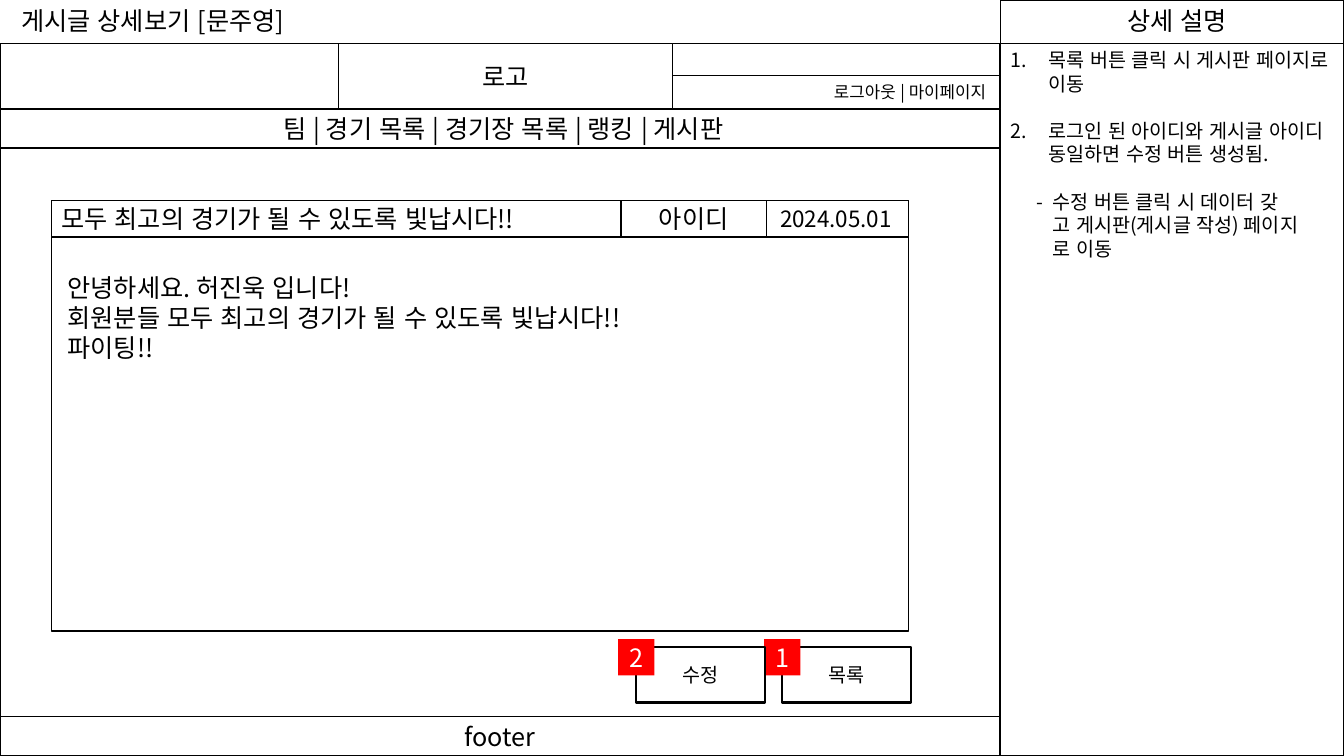
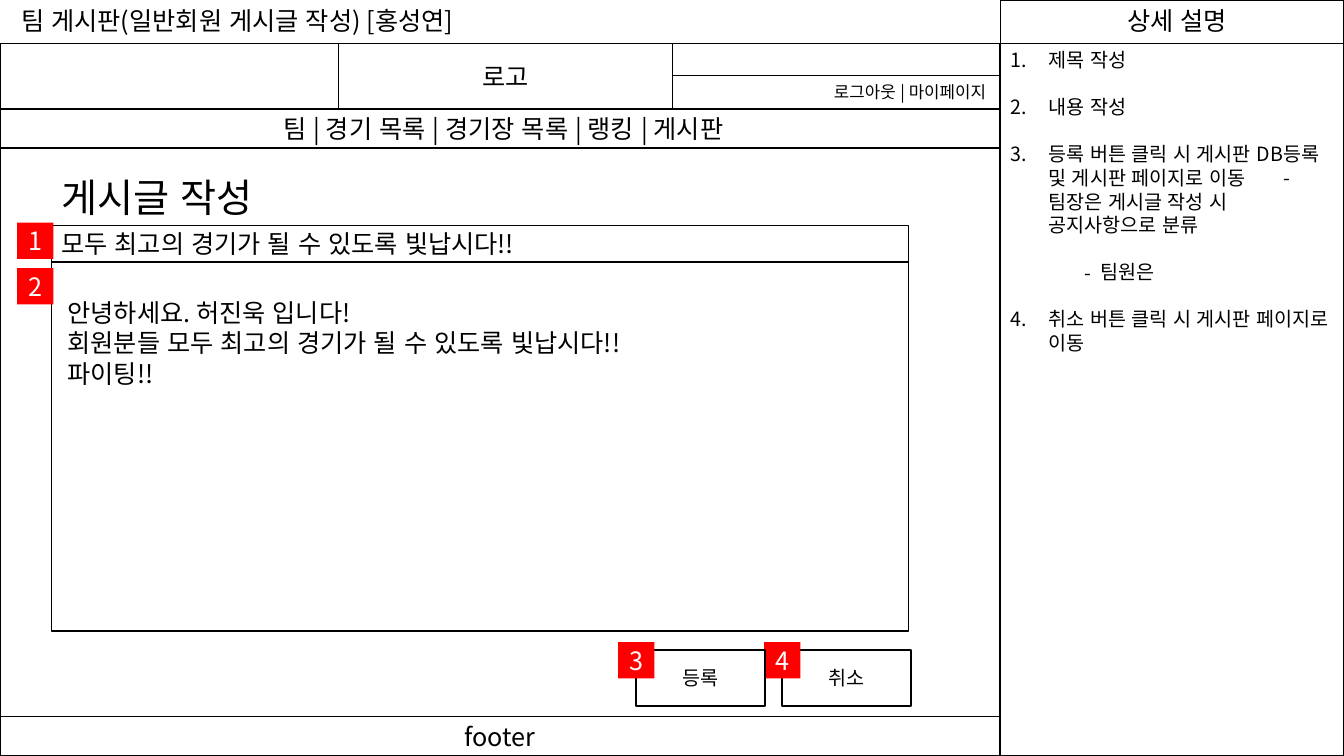
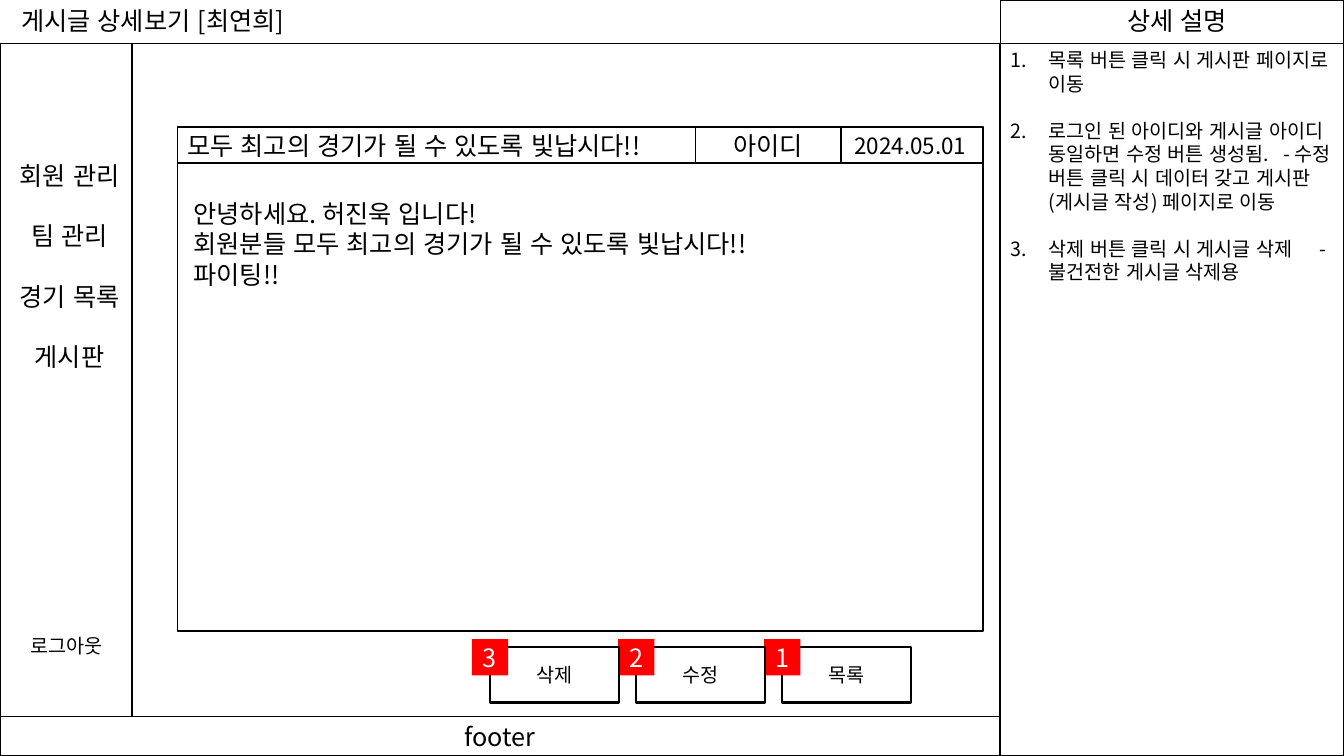
"""Build three wireframe slides for a sports bulletin board."""
from copy import deepcopy

from lxml import etree
from pptx import Presentation
from pptx import util as u
from pptx.dml.color import RGBColor
from pptx.enum import lang, shapes, text
from pptx.oxml import ns

BLACK = RGBColor(0, 0, 0)
WHITE = RGBColor(255, 255, 255)
RED = RGBColor(255, 0, 0)
FONT = "Noto Sans CJK KR"
LEFT, CENTER, RIGHT = text.PP_ALIGN.LEFT, text.PP_ALIGN.CENTER, text.PP_ALIGN.RIGHT
TOP, MIDDLE = text.MSO_ANCHOR.TOP, text.MSO_ANCHOR.MIDDLE
LINE_HEIGHT = 1.2

SLIDE_WIDTH, SLIDE_HEIGHT = 13.33, 7.5
PAGE_WIDTH = 9.92
BAND_HEIGHT = 0.43
NAV_TOP, NAV_HEIGHT = 1.08, 0.39
FOOTER_TOP = 7.11
ROW_HEIGHT = 0.36
BUTTON_RIGHTMOST, BUTTON_PITCH = 7.76, 1.45

POST_TITLE = "모두 최고의 경기가 될 수 있도록 빛납시다!!"
POST_LINES = ["안녕하세요. 허진욱 입니다!", "회원분들 모두 최고의 경기가 될 수 있도록 빛납시다!!", "파이팅!!"]
LIST_NOTE = "목록 버튼 클릭 시 게시판 페이지로 이동"
EDIT_NOTE = "로그인 된 아이디와 게시글 아이디 동일하면 수정 버튼 생성됨."


def set_attributes(target, values):
    """Set each named attribute of the target."""
    for name, value in values.items():
        setattr(target, name, value)


def format_run(run, size, color=BLACK):
    """Apply the shared font to Latin and Korean characters."""
    set_attributes(run.font, {"name": FONT, "size": u.Pt(size), "bold": False,
                              "language_id": lang.MSO_LANGUAGE_ID.KOREAN})
    run.font.color.rgb = color
    properties = run.font._element
    latin = properties.find(ns.qn("a:latin"))
    east_asian = etree.Element(ns.qn("a:ea"), typeface=FONT)
    latin.addnext(east_asian)


def format_paragraph(paragraph, size, color=BLACK):
    """Format every run and line break of a paragraph."""
    for run in paragraph.runs:
        format_run(run, size, color)
    for line_break in paragraph._p.findall(ns.qn("a:br")):
        line_break.append(deepcopy(paragraph.runs[0].font._element))


def write(shape, lines, size=18, color=BLACK, align=LEFT, anchor=MIDDLE, gap=0, **margins):
    """Write one paragraph per line, with a gap in points between them."""
    frame = shape.text_frame
    set_attributes(frame, {"word_wrap": True, "vertical_anchor": anchor,
                           "auto_size": text.MSO_AUTO_SIZE.NONE})
    set_attributes(frame, {name: u.Inches(value) for name, value in margins.items()})
    for index, line in enumerate(lines):
        paragraph = frame.add_paragraph() if index else frame.paragraphs[0]
        paragraph.text = line
        set_attributes(paragraph, {"alignment": align, "space_before": u.Pt(gap if index else 0)})
        format_paragraph(paragraph, size, color)


def add_box(slide, left, top, width, height, lines=(), fill=WHITE, line_width=1, **style):
    """Add a filled rectangle, outlined unless the line width is zero."""
    shape = slide.shapes.add_shape(shapes.MSO_SHAPE.RECTANGLE,
                                   *map(u.Inches, (left, top, width, height)))
    shape.shadow.inherit = False
    shape.fill.solid()
    shape.fill.fore_color.rgb = fill
    if line_width:
        shape.line.color.rgb = BLACK
        shape.line.width = u.Pt(line_width)
    else:
        shape.line.fill.background()
    write(shape, lines, **style)


def add_text(slide, left, top, width, height, lines=(), **style):
    """Add a text box that starts at its top edge."""
    shape = slide.shapes.add_textbox(*map(u.Inches, (left, top, width, height)))
    write(shape, lines, anchor=TOP, **style)
    return shape


def add_page(presentation, title):
    """Add a slide with its title and the description panel."""
    slide = presentation.slides.add_slide(presentation.slide_layouts[5])
    placeholder = slide.shapes.title
    set_attributes(placeholder, {"left": u.Inches(0.11), "top": 0,
                                 "width": u.Inches(9.7), "height": u.Inches(0.4)})
    write(placeholder, [title], anchor=TOP)
    panel_width = SLIDE_WIDTH - PAGE_WIDTH
    add_box(slide, PAGE_WIDTH, BAND_HEIGHT, panel_width, SLIDE_HEIGHT - BAND_HEIGHT)
    add_box(slide, PAGE_WIDTH, 0, panel_width, BAND_HEIGHT)
    add_text(slide, 11.08, 0, 1.3, 0.4, ["상세 설명"])
    add_box(slide, 0, BAND_HEIGHT, PAGE_WIDTH, FOOTER_TOP - BAND_HEIGHT)
    add_box(slide, 0, FOOTER_TOP, PAGE_WIDTH, SLIDE_HEIGHT - FOOTER_TOP, ["footer"], align=CENTER)
    return slide


def add_site_header(slide):
    """Add the site header with logo cell, account links and menu."""
    logo_left, logo_width = 3.36, 3.31
    account_left = logo_left + logo_width
    add_box(slide, 0, BAND_HEIGHT, PAGE_WIDTH, NAV_TOP - BAND_HEIGHT)
    add_box(slide, logo_left, BAND_HEIGHT, logo_width, NAV_TOP - BAND_HEIGHT, ["로고"], align=CENTER)
    add_box(slide, 0, NAV_TOP, PAGE_WIDTH, NAV_HEIGHT, ["팀 | 경기 목록 | 경기장 목록 | 랭킹 | 게시판"],
            align=CENTER, margin_left=0.16)
    add_box(slide, account_left, 0.75, PAGE_WIDTH - account_left, 0.33, ["로그아웃 | 마이페이지"],
            size=12, align=RIGHT, margin_right=0.14)


def add_sidebar(slide):
    """Add the administrator menu on the left."""
    add_box(slide, 0, BAND_HEIGHT, 1.31, FOOTER_TOP - BAND_HEIGHT)
    add_text(slide, 0.2, 6.24, 1.31, 0.34, ["로그아웃"], size=14)
    add_text(slide, 0, 1.54, 1.38, 2.22, ["회원 관리", "팀 관리", "경기 목록", "게시판"],
             align=CENTER, gap=18 * LINE_HEIGHT)


def add_post(slide, left, top, width, with_author=True):
    """Add the post title row and body, with author and date if wanted."""
    body_top = top + ROW_HEIGHT
    add_box(slide, left, top, width, ROW_HEIGHT, [POST_TITLE])
    add_box(slide, left, body_top, width, 6.26 - body_top, POST_LINES, anchor=TOP,
            margin_left=0.16, margin_top=0.35)
    if with_author:
        cell_width = 1.44
        date_left = left + width - cell_width
        add_box(slide, date_left, top, cell_width, ROW_HEIGHT, ["2024.05.01"], size=16, align=CENTER)
        add_box(slide, date_left - 1.41, top, cell_width, ROW_HEIGHT, ["아이디"], align=CENTER)


def add_badge(slide, left, top, number):
    """Add a red square with a note number."""
    add_box(slide, left, top, 0.36, 0.36, [str(number)], fill=RED, line_width=0,
            color=WHITE, align=CENTER)


def add_buttons(slide, top, buttons):
    """Add numbered buttons from right to left."""
    for index, (label, number) in enumerate(buttons):
        left = BUTTON_RIGHTMOST - index * BUTTON_PITCH
        add_box(slide, left, top, 1.28, 0.55, [label], line_width=1.5, size=14, align=CENTER)
        add_badge(slide, left - 0.18, top - 0.08, number)


def set_bullet(paragraph, margin, hanging, tag, **attributes):
    """Give a paragraph a hanging bullet."""
    properties = paragraph._p.get_or_add_pPr()
    properties.set("marL", str(u.Inches(margin)))
    properties.set("indent", str(-u.Inches(hanging)))
    etree.SubElement(properties, ns.qn("a:buFont"), typeface=FONT)
    etree.SubElement(properties, ns.qn(tag), **attributes)


def add_spaced_run(paragraph, points):
    """Add one space widened by the given points."""
    run = paragraph.add_run()
    run.text = " "
    run.font._element.set("spc", str(points * 100))


def add_notes(slide, notes):
    """List notes: a string or parts are numbered, a dict is a dashed sub-note."""
    frame = add_text(slide, PAGE_WIDTH, BAND_HEIGHT, 3.41, 3.2).text_frame
    number = 0
    for index, note in enumerate(notes):
        paragraph = frame.add_paragraph() if index else frame.paragraphs[0]
        paragraph.space_before = u.Pt(14 * LINE_HEIGHT if index else 0)
        if isinstance(note, dict):
            paragraph.text = note["text"]
            set_bullet(paragraph, note["left"] + 0.16, 0.16, "a:buChar", char="-")
        else:
            number += 1
            set_bullet(paragraph, 0.38, 0.38, "a:buAutoNum", type="arabicPeriod", startAt=str(number))
            for part in [note] if isinstance(note, str) else note:
                if isinstance(part, str):
                    paragraph.add_run().text = part
                else:
                    add_spaced_run(paragraph, part)
        format_paragraph(paragraph, 14)


def build_member_post(presentation):
    """Build the member's view of a post."""
    slide = add_page(presentation, "게시글 상세보기 [문주영]")
    add_site_header(slide)
    add_post(slide, 0.51, 1.99, 8.5)
    add_buttons(slide, 6.42, [("목록", 1), ("수정", 2)])
    add_notes(slide, [
        LIST_NOTE,
        EDIT_NOTE,
        {"left": 0.26, "text": "수정 버튼 클릭 시 데이터 갖\v고 게시판(게시글 작성) 페이지\v로 이동"},
    ])


def build_post_form(presentation):
    """Build the form for writing a post."""
    slide = add_page(presentation, "팀 게시판(일반회원 게시글 작성) [홍성연]")
    add_site_header(slide)
    add_text(slide, 0.51, 1.67, 2.6, 0.57, ["게시글 작성"], size=28)
    add_post(slide, 0.51, 2.24, 8.5, with_author=False)
    add_badge(slide, 0.17, 2.21, 1)
    add_badge(slide, 0.17, 2.66, 2)
    add_buttons(slide, 6.45, [("취소", 4), ("등록", 3)])
    add_notes(slide, [
        "제목 작성",
        "내용 작성",
        ["등록 버튼 클릭 시 게시판 DB등록 및 게시판 페이지로 이동", 23, "- 팀장은 게시글 작성 시 공지사항으로 분류"],
        {"left": 0.74, "text": "팀원은"},
        "취소 버튼 클릭 시 게시판 페이지로 이동",
    ])


def build_admin_post(presentation):
    """Build the administrator's view of a post."""
    slide = add_page(presentation, "게시글 상세보기 [최연희]")
    add_sidebar(slide)
    add_post(slide, 1.76, 1.26, 7.99)
    add_buttons(slide, 6.42, [("목록", 1), ("수정", 2), ("삭제", 3)])
    add_notes(slide, [
        LIST_NOTE,
        [EDIT_NOTE, 7, "- 수정 버튼 클릭 시 데이터 갖고 게시판(게시글 작성) 페이지로 이동"],
        ["삭제 버튼 클릭 시 게시글 삭제", 15, "- 불건전한 게시글 삭제용"],
    ])


def main():
    """Build and save the presentation."""
    presentation = Presentation()
    set_attributes(presentation, {"slide_width": u.Inches(SLIDE_WIDTH),
                                  "slide_height": u.Inches(SLIDE_HEIGHT)})
    build_member_post(presentation)
    build_post_form(presentation)
    build_admin_post(presentation)
    presentation.save("out.pptx")


if __name__ == "__main__":
    main()
